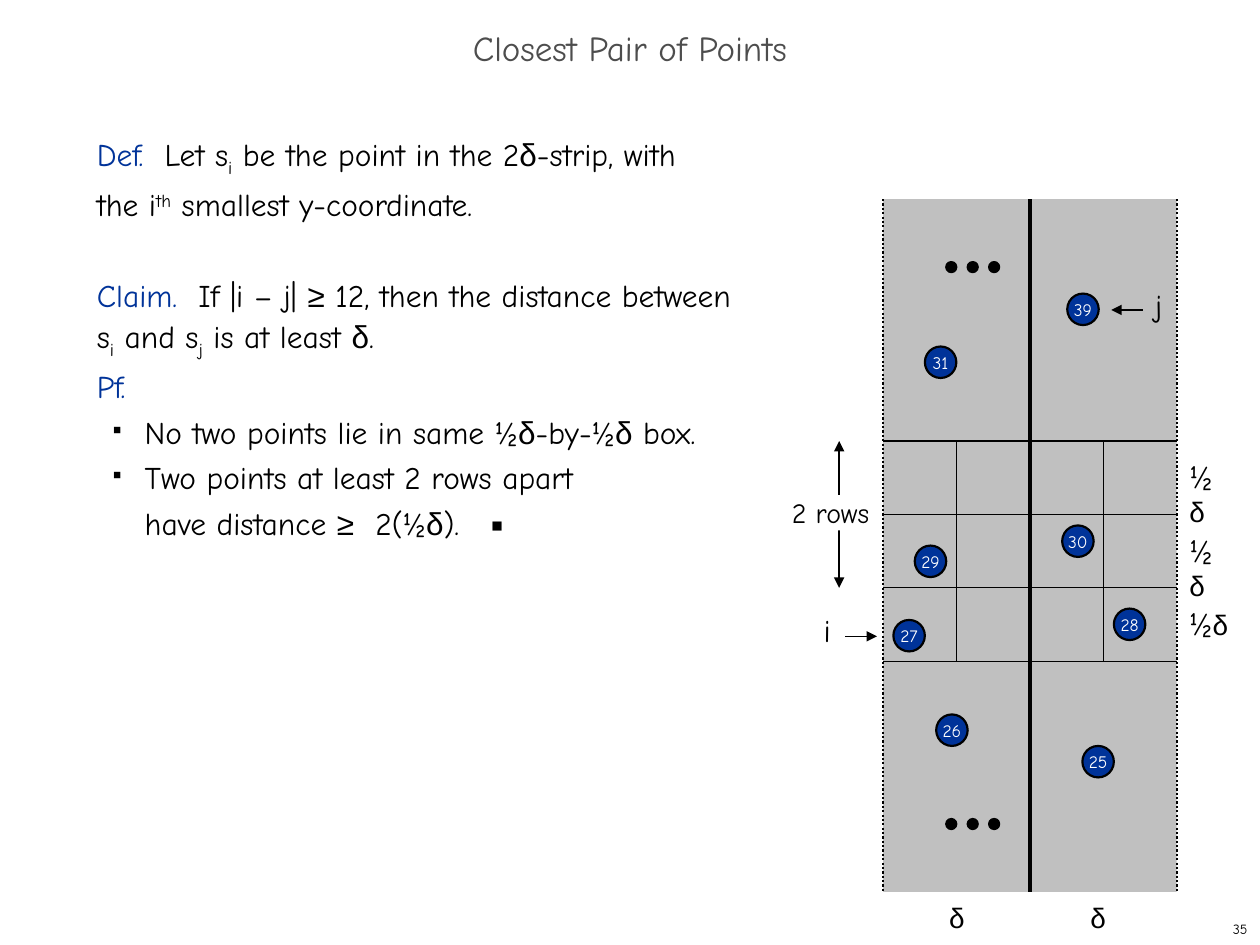
"""Build the closest pair slide: proof text beside the strip of points."""
from dataclasses import dataclass
from itertools import groupby

from lxml.etree import SubElement
from pptx import Presentation
from pptx.dml.color import RGBColor
from pptx.enum.dml import MSO_LINE
from pptx.enum.shapes import MSO_CONNECTOR, MSO_SHAPE
from pptx.enum.text import MSO_ANCHOR, PP_ALIGN
from pptx.oxml.ns import qn
from pptx.util import Inches, Pt


@dataclass(frozen=True)
class Theme:
    ink: str = "000000"
    blue: str = "003399"
    gray: str = "4D4D4D"
    strip: str = "C0C0C0"
    white: str = "FFFFFF"
    font: str = "Comic Neue"
    math: str = "Arial"
    title: int = 20
    body: int = 18
    label: int = 16
    point: int = 10
    page: int = 8
    lead: int = 26
    thin: float = 0.75
    edge: float = 1.25
    bold: float = 2


THEME = Theme()
LEFT, TOP, WIDE, HIGH = 7.01, 1.58, 2.33, 5.5
RIGHT, BASE = LEFT + WIDE, TOP + HIGH
CELL = WIDE / 4
ROWS = [3.5 + CELL * row for row in range(4)]
POINTS = {
    "27": (7.09, 4.92), "29": (7.26, 4.33), "30": (8.43, 4.17),
    "31": (7.34, 2.75), "28": (8.84, 4.83), "26": (7.43, 5.67),
    "25": (8.59, 5.92), "39": (8.47, 2.33),
}
SHIFTS = {"sub": "-25000", "sup": "30000"}
PROOF = [
    [("Def.  ", "head"), ("Let s", ""), ("i", "sub"),
     (" be the point in the 2δ-strip, with\nthe i", ""), ("th", "sup"),
     (" smallest y-coordinate.", "")],
    [("Claim.  ", "head"),
     ("If |i – j| ≥ 12, then the distance between\ns", ""), ("i", "sub"),
     (" and s", ""), ("j", "sub"), (" is at least δ.", "")],
    [("Pf.", "head")],
    [("No two points lie in same ½δ-by-½δ box.", "")],
    [("Two points at least 2 rows apart\nhave distance ≥  2(½δ).   ▪", "")],
]


def paint(run, size, color, face=THEME.font):
    """Set the size, colour and face of a run."""
    run.font.size = Pt(size)
    run.font.color.rgb = RGBColor.from_string(color)
    run.font.name = face


def kind(char):
    """Sort a character into break, math or plain."""
    return "break" if char == "\n" else "math" if char in "δ≥" else "plain"


def write(para, text, size, color, style=""):
    """Append text, with math signs in the math face."""
    for sort, chars in groupby(text, kind):
        if sort == "break":
            para.add_line_break()
            continue
        run = para.add_run()
        run.text = "".join(chars)
        paint(run, size, color, THEME.math if sort == "math" else THEME.font)
        if style in SHIFTS:
            run.font._element.set("baseline", SHIFTS[style])


def add_text(slide, text, box, size, color=THEME.ink, align=PP_ALIGN.CENTER):
    """Add a wrapped text box with one paragraph and return its frame."""
    frame = slide.shapes.add_textbox(*map(Inches, box)).text_frame
    frame.word_wrap = True
    para = frame.paragraphs[0]
    para.alignment = align
    write(para, text, size, color)
    return frame


def add_shape(shapes, form, box, fill, edge=None):
    """Add a flat shape, outlined when an edge colour is given."""
    shape = shapes.add_shape(form, *map(Inches, box))
    shape.shadow.inherit = False
    shape.fill.solid()
    shape.fill.fore_color.rgb = RGBColor.from_string(fill)
    if edge:
        shape.line.color.rgb = RGBColor.from_string(edge)
        shape.line.width = Pt(THEME.edge)
    else:
        shape.line.fill.background()
    return shape


def add_line(slide, start, end, width=THEME.thin, ends=()):
    """Add a straight line with optional arrow ends."""
    line = slide.shapes.add_connector(
        MSO_CONNECTOR.STRAIGHT, *map(Inches, (*start, *end)))
    line.line.color.rgb = RGBColor.from_string(THEME.ink)
    line.line.width = Pt(width)
    for tag in ends:
        SubElement(line.line._get_or_add_ln(), qn(tag), type="triangle")
    SubElement(line._element.spPr, qn("a:effectLst"))
    return line


def add_point(slide, name, spot):
    """Add a numbered point."""
    shape = add_shape(slide.shapes, MSO_SHAPE.OVAL, (*spot, 0.25, 0.25),
                      THEME.blue, THEME.ink)
    frame = shape.text_frame
    frame.text = name
    frame.word_wrap = False
    frame.vertical_anchor = MSO_ANCHOR.MIDDLE
    frame.paragraphs[0].alignment = PP_ALIGN.CENTER
    paint(frame.paragraphs[0].runs[0], THEME.point, THEME.white)


def add_dots(slide, top):
    """Add a group of three small dots."""
    group = slide.shapes.add_group_shape()
    for step in range(3):
        add_shape(group.shapes, MSO_SHAPE.OVAL,
                  (7.51 + 0.17 * step, top, 0.08, 0.08), THEME.ink, THEME.ink)


def set_bullet(para):
    """Give a paragraph a small square bullet and a hanging indent."""
    para.level = 1
    props = para._p.get_or_add_pPr()
    props.set("marL", str(Inches(0.38)))
    props.set("indent", str(Inches(-0.25)))
    SubElement(SubElement(props, qn("a:buClr")), qn("a:srgbClr"), val=THEME.ink)
    SubElement(props, qn("a:buSzPct"), val="35000")
    SubElement(props, qn("a:buChar"), char="■")


def add_proof(slide):
    """Add the text of the proof."""
    box = slide.shapes.add_textbox(*map(Inches, (0.67, 1, 8.58, 5.92)))
    frame = box.text_frame
    frame.word_wrap = True
    for place, parts in enumerate(PROOF):
        para = frame.add_paragraph() if place else frame.paragraphs[0]
        para.line_spacing = Pt(THEME.lead)
        if place == 1:
            para.space_before = Pt(THEME.lead)
        if place > 2:
            set_bullet(para)
        for text, style in parts:
            color = THEME.blue if style == "head" else THEME.ink
            write(para, text, THEME.body, color, style)


def add_strip(slide):
    """Add the strip with its grid and borders."""
    strip = add_shape(slide.shapes, MSO_SHAPE.RECTANGLE,
                      (LEFT, TOP, WIDE, HIGH), THEME.strip)
    mid = LEFT + WIDE / 2
    axis = add_line(slide, (mid, TOP), (mid, BASE), THEME.bold)
    axis.begin_connect(strip, 0)
    axis.end_connect(strip, 2)
    for x in (LEFT + CELL, RIGHT - CELL):
        add_line(slide, (x, ROWS[0]), (x, ROWS[-1]))
    for y in ROWS:
        add_line(slide, (RIGHT, y), (LEFT, y))
    for x in (LEFT, RIGHT):
        side = add_line(slide, (x, TOP), (x, BASE), THEME.edge)
        side.line.dash_style = MSO_LINE.ROUND_DOT


def add_labels(slide):
    """Add the labels and arrows around the strip."""
    add_line(slide, (6.66, ROWS[0]), (6.66, ROWS[2]),
             ends=("a:headEnd", "a:tailEnd"))
    plate = add_shape(slide.shapes, MSO_SHAPE.RECTANGLE,
                      (6.11, 3.93, 0.89, 0.28), THEME.white)
    frame = plate.text_frame
    frame.text = " 2 rows"
    frame.word_wrap = False
    frame.vertical_anchor = MSO_ANCHOR.TOP
    frame.margin_top = frame.margin_bottom = 0
    frame.paragraphs[0].alignment = PP_ALIGN.CENTER
    paint(frame.paragraphs[0].runs[0], THEME.label, THEME.ink)
    for x in (7.43, 8.55):
        add_text(slide, "δ", (x, 7.1, 0.33, 0.37), THEME.label)
    for y, width in zip(ROWS, (0.49, 0.49, 0.57)):
        half = add_text(slide, "½δ", (RIGHT, y + 0.08, width, 0.4),
                        THEME.body, align=PP_ALIGN.LEFT)
        half.paragraphs[0].runs[1].font.size = Pt(THEME.label)
    add_text(slide, "i", (6.4, 4.8, 0.33, 0.4), THEME.body)
    add_text(slide, "j", (9.03, 2.22, 0.33, 0.4), THEME.body)
    add_line(slide, (6.71, 5.05), (6.96, 5.05), ends=("a:tailEnd",))
    add_line(slide, (9.07, 2.46), (8.82, 2.46), ends=("a:tailEnd",))


def main():
    """Build and save the slide."""
    deck = Presentation()
    deck.slide_width, deck.slide_height = Inches(10), Inches(7.5)
    slide = deck.slides.add_slide(deck.slide_layouts[6])
    title = add_text(slide, "Closest Pair of Points", (0, 0.17, 10, 0.5),
                     THEME.title, THEME.gray)
    title.vertical_anchor = MSO_ANCHOR.MIDDLE
    title.paragraphs[0].line_spacing = 0.7
    page = add_text(slide, "35", (7.92, 7.25, 2.08, 0.25), THEME.page,
                    align=PP_ALIGN.RIGHT)
    page.vertical_anchor = MSO_ANCHOR.MIDDLE
    add_strip(slide)
    add_proof(slide)
    for name, spot in POINTS.items():
        add_point(slide, name, spot)
    for top in (2.08, 6.5):
        add_dots(slide, top)
    add_labels(slide)
    deck.save("out.pptx")


if __name__ == "__main__":
    main()
